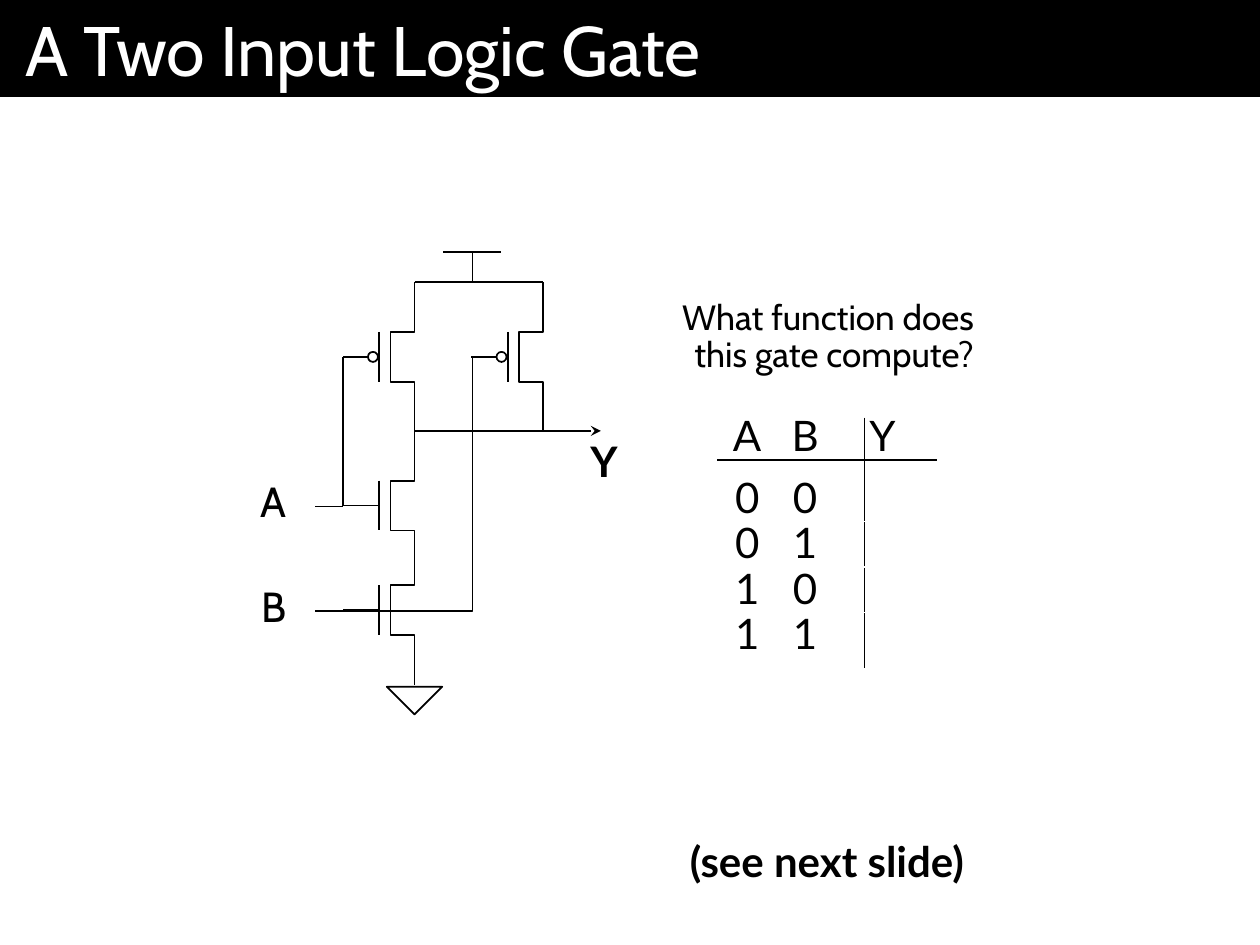
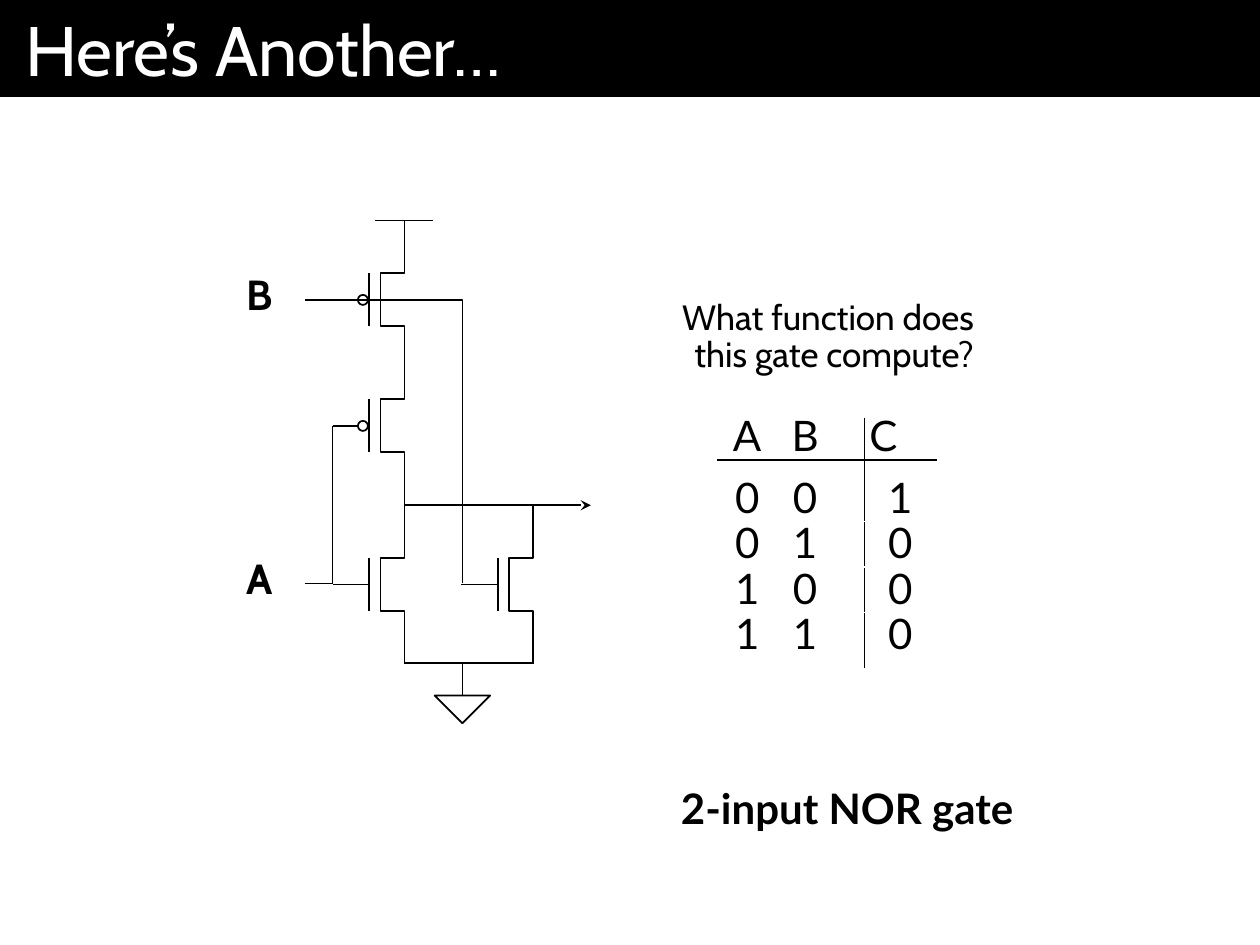
from pptx import Presentation, util as u
from pptx.dml.color import RGBColor
from pptx.enum import shapes, text
from pptx.oxml import ns
from lxml import etree

BLACK = RGBColor(0, 0, 0)
WHITE = RGBColor(255, 255, 255)
TITLE_FONT, BODY_FONT = "Cabin", "Lato"
WIDTH, HEIGHT = 10, 7.5
QUESTION = ["What function does", "this gate compute?"]
INPUTS = [("0", "0"), ("0", "1"), ("1", "0"), ("1", "1")]

COLUMNS = {"input": -0.79, "gate": -0.57, "left": 0, "feed": 0.46,
           "right": 1.02, "output": 1.48}
CHANNEL, PLATE, BUBBLE = 0.19, 0.28, 0.08
RAIL, GROUND = 0.46, (0.44, 0.22)

TABLE_AT = (5.7, 3.32)
TABLE_COLUMNS = (0.46, 0.7, 0.57)
TABLE_ROWS = (0.33, 0.49, 0.36, 0.36, 0.45)
B_MARGIN, LAST_MARGIN, OUTPUT_MARGIN = 0.24, 0.09, 0.04

SLIDES = [
    {
        "title": "A Two Input Logic Gate",
        "origin": 3.29,
        "step": 0.395,
        "transistors": [("left", 2.24, True), ("right", 2.24, True),
                        ("left", 3.42, False), ("left", 4.25, False)],
        "rail": ("feed", 2),
        "ground": ("left", 5.45),
        "wires": [
            [("left", 2.24), ("right", 2.24)],
            [("feed", 2.24), ("feed", 2)],
            [("gate", 2.83), ("gate", 4.02)],
            [("input", 4.02), ("gate", 4.02)],
            [("input", 4.85), ("feed", 4.85), ("feed", 2.83)],
        ],
        "output": 3.42,
        "labels": [("A", 1.97, 3.77), ("B", 1.97, 4.6)],
        "bold_labels": False,
        "output_name": "Y",
        "results": ["", "", "", ""],
        "notes": [("(see next slide)", (5.12, 6.58, 2.63, 0.5)),
                  ("Y", (4.56, 3.41, 0.44, 0.5))],
    },
    {
        "title": "Here’s Another…",
        "origin": 3.21,
        "step": 0.42,
        "transistors": [("left", 1.75, True), ("left", 2.75, True),
                        ("left", 4.01, False), ("right", 4.01, False)],
        "rail": ("left", 1.75),
        "ground": ("feed", 5.52),
        "wires": [
            [("left", 5.26), ("right", 5.26)],
            [("feed", 5.26), ("feed", 5.52)],
            [("gate", 3.38), ("gate", 4.63)],
            [("input", 4.63), ("gate", 4.63)],
            [("input", 2.38), ("feed", 2.38), ("feed", 4.63)],
        ],
        "output": 4.01,
        "labels": [("A", 1.86, 4.38), ("B", 1.86, 2.13)],
        "bold_labels": True,
        "output_name": "C",
        "results": ["1", "0", "0", "0"],
        "notes": [("2-input NOR gate", (5.19, 6.16, 2.95, 0.5))],
    },
]


def inches(*lengths):
    return [u.Inches(length) for length in lengths]


def style_text(frame, font, size, color=BLACK, bold=False,
               align=text.PP_ALIGN.RIGHT, spacing=None):
    for para in frame.paragraphs:
        para.alignment = align
        para.line_spacing = spacing
        for span in para.runs:
            span.font.name = font
            span.font.size = u.Pt(size)
            span.font.bold = bold
            span.font.color.rgb = color


def add_text(parts, lines, place, font, size, bold=False, spacing=None):
    box = parts.add_textbox(*inches(*place))
    frame = box.text_frame
    frame.text = "\n".join(lines)
    frame.word_wrap = False
    frame.auto_size = text.MSO_AUTO_SIZE.SHAPE_TO_FIT_TEXT
    style_text(frame, font, size, bold=bold, spacing=spacing)


def add_title(page, title):
    band = page.shapes.title
    band.left, band.top, band.width, band.height = inches(0, 0, WIDTH, 0.77)
    band.fill.solid()
    band.fill.fore_color.rgb = BLACK
    frame = band.text_frame
    frame.text = title
    frame.auto_size = text.MSO_AUTO_SIZE.NONE
    frame.vertical_anchor = text.MSO_ANCHOR.MIDDLE
    frame.margin_left = frame.margin_right = u.Inches(0.2)
    style_text(frame, TITLE_FONT, 40, WHITE, align=text.PP_ALIGN.LEFT)


def draw_line(shape):
    shape.line.color.rgb = BLACK
    shape.line.width = u.Pt(1)


def add_wire(parts, points, arrow=False):
    points = [inches(*point) for point in points]
    if len(points) == 2:
        wire = parts.add_connector(shapes.MSO_CONNECTOR.STRAIGHT, *points[0], *points[1])
        draw_line(wire)
        etree.SubElement(wire._element.spPr, ns.qn("a:effectLst"))
    else:
        builder = parts.build_freeform(*points[0])
        builder.add_line_segments(points[1:], close=False)
        wire = builder.convert_to_shape()
        wire.fill.background()
        wire.shadow.inherit = False
        draw_line(wire)
    if arrow:
        etree.SubElement(wire.line._get_or_add_ln(), ns.qn("a:tailEnd"), type="stealth")


def add_symbol(parts, preset, *place):
    symbol = parts.add_shape(preset, *inches(*place))
    symbol.shadow.inherit = False
    symbol.fill.solid()
    symbol.fill.fore_color.rgb = WHITE
    draw_line(symbol)
    return symbol


def add_transistor(parts, x, top, step, inverted):
    levels = [top + step * count for count in range(4)]
    channel, plate = x - CHANNEL, x - PLATE
    middle = top + 1.5 * step
    add_wire(parts, [(x, levels[0]), (x, levels[1]), (channel, levels[1]),
                     (channel, levels[2]), (x, levels[2]), (x, levels[3])])
    add_wire(parts, [(plate, levels[1]), (plate, levels[2])])
    gate_end = plate - BUBBLE if inverted else plate
    add_wire(parts, [(gate_end, middle), (x + COLUMNS["gate"], middle)])
    if inverted:
        add_symbol(parts, shapes.MSO_SHAPE.OVAL, plate - BUBBLE - 0.01,
                   middle - BUBBLE / 2, BUBBLE, BUBBLE)


def add_circuit(page, content):
    parts = page.shapes.add_group_shape().shapes
    xs = {name: content["origin"] + offset for name, offset in COLUMNS.items()}
    for column, top, inverted in content["transistors"]:
        add_transistor(parts, xs[column], top, content["step"], inverted)
    for wire in content["wires"]:
        add_wire(parts, [(xs[column], y) for column, y in wire])
    column, y = content["rail"]
    add_wire(parts, [(xs[column] - RAIL / 2, y), (xs[column] + RAIL / 2, y)])
    column, y = content["ground"]
    ground = add_symbol(parts, shapes.MSO_SHAPE.ISOSCELES_TRIANGLE,
                        xs[column] - GROUND[0] / 2, y, *GROUND)
    ground.rotation = 180
    y = content["output"]
    add_wire(parts, [(xs["left"], y), (xs["output"], y)], arrow=True)
    for label, x, y in content["labels"]:
        add_text(parts, [label], (x, y, 0.4, 0.47), TITLE_FONT, 24,
                 content["bold_labels"], 0.9)


def add_border(cell, side):
    border = etree.Element(ns.qn(f"a:{side}"), w=str(u.Pt(1)))
    fill = etree.SubElement(border, ns.qn("a:solidFill"))
    etree.SubElement(fill, ns.qn("a:srgbClr"), val=str(BLACK))
    properties = cell._tc.get_or_add_tcPr()
    fill_at = properties.index(properties.find(ns.qn("a:noFill")))
    properties.insert(fill_at, border)


def add_truth_table(page, output_name, results):
    rows = [("A", "B", output_name)]
    rows += [(*pair, result) for pair, result in zip(INPUTS, results)]
    place = inches(*TABLE_AT, sum(TABLE_COLUMNS), sum(TABLE_ROWS))
    table = page.shapes.add_table(len(rows), len(TABLE_COLUMNS), *place).table
    table.first_row = table.horz_banding = False
    for column, width in zip(table.columns, TABLE_COLUMNS):
        column.width = u.Inches(width)
    for row, height in zip(table.rows, TABLE_ROWS):
        row.height = u.Inches(height)
    for r, values in enumerate(rows):
        for c, value in enumerate(values):
            cell = table.cell(r, c)
            cell.text_frame.text = value
            cell.fill.background()
            cell.vertical_anchor = text.MSO_ANCHOR.BOTTOM
            heading = r == 0 and c == 2
            cell.margin_top = 0
            cell.margin_left = u.Inches(OUTPUT_MARGIN if heading else 0)
            cell.margin_right = u.Inches(B_MARGIN if c == 1 else 0)
            cell.margin_bottom = u.Inches(LAST_MARGIN if r == len(rows) - 1 else 0)
            align = text.PP_ALIGN.LEFT if heading else text.PP_ALIGN.CENTER
            style_text(cell.text_frame, BODY_FONT, 24, align=align, spacing=0.8)
            if c:
                add_border(cell, "lnR" if c == 1 else "lnL")
            if r < 2:
                add_border(cell, "lnB" if r == 0 else "lnT")


def main():
    deck = Presentation()
    deck.slide_width, deck.slide_height = inches(WIDTH, HEIGHT)
    for content in SLIDES:
        page = deck.slides.add_slide(deck.slide_layouts[5])
        add_title(page, content["title"])
        add_circuit(page, content)
        add_text(page.shapes, QUESTION, (5.23, 2.33, 2.6, 0.71), TITLE_FONT, 20, spacing=0.9)
        add_truth_table(page, content["output_name"], content["results"])
        for note, place in content["notes"]:
            add_text(page.shapes, [note], place, BODY_FONT, 24, bold=True)
    deck.save("out.pptx")


if __name__ == "__main__":
    main()
